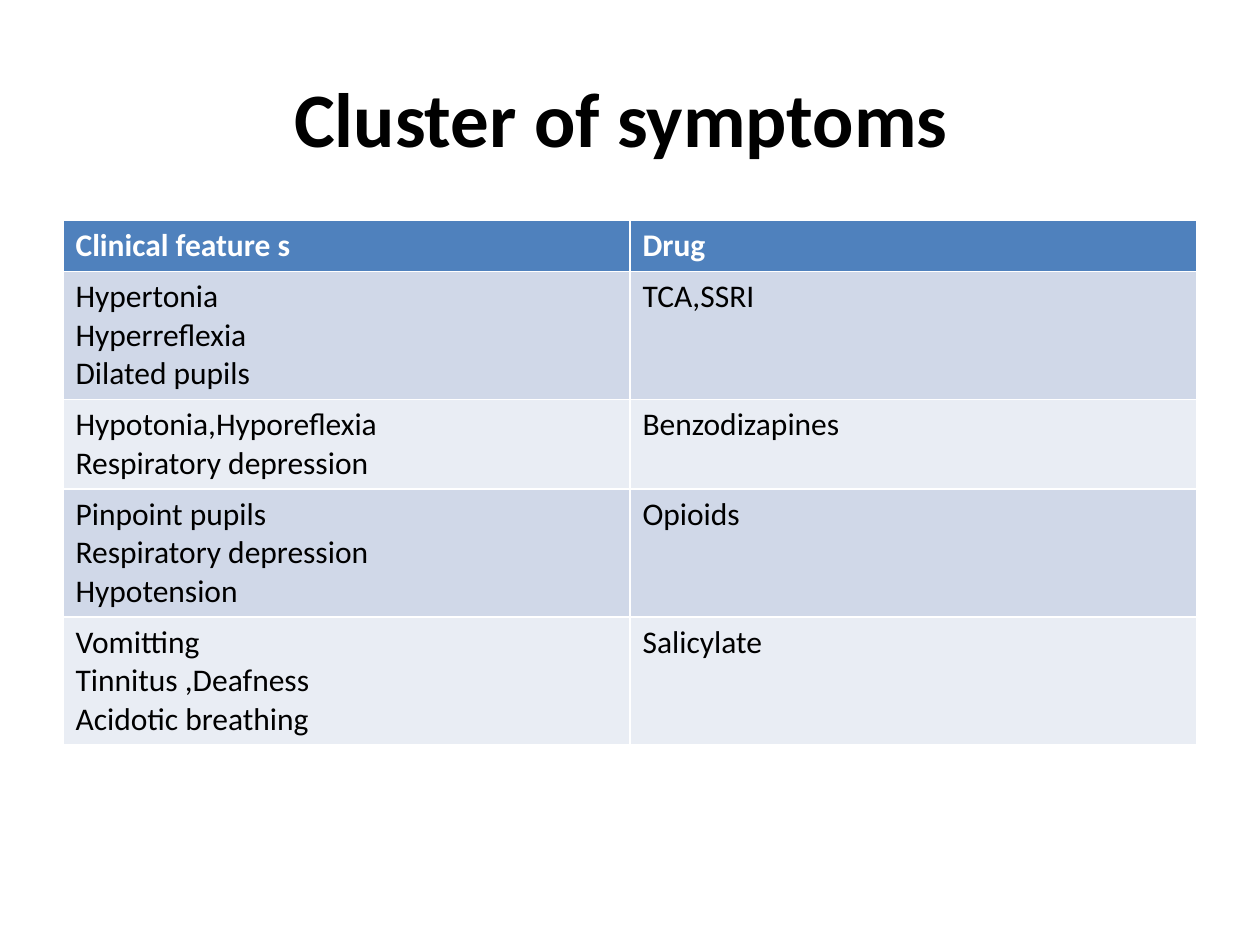
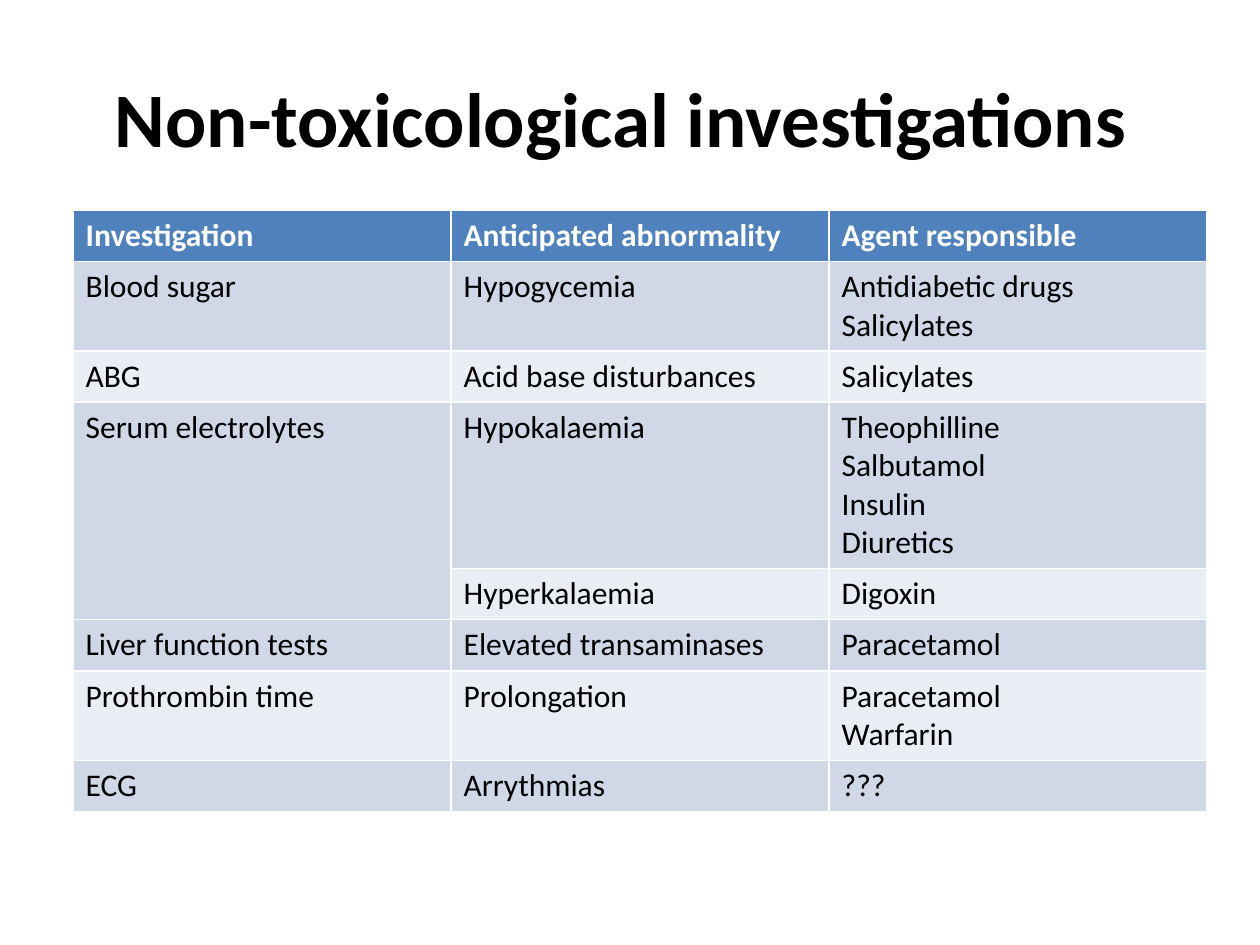
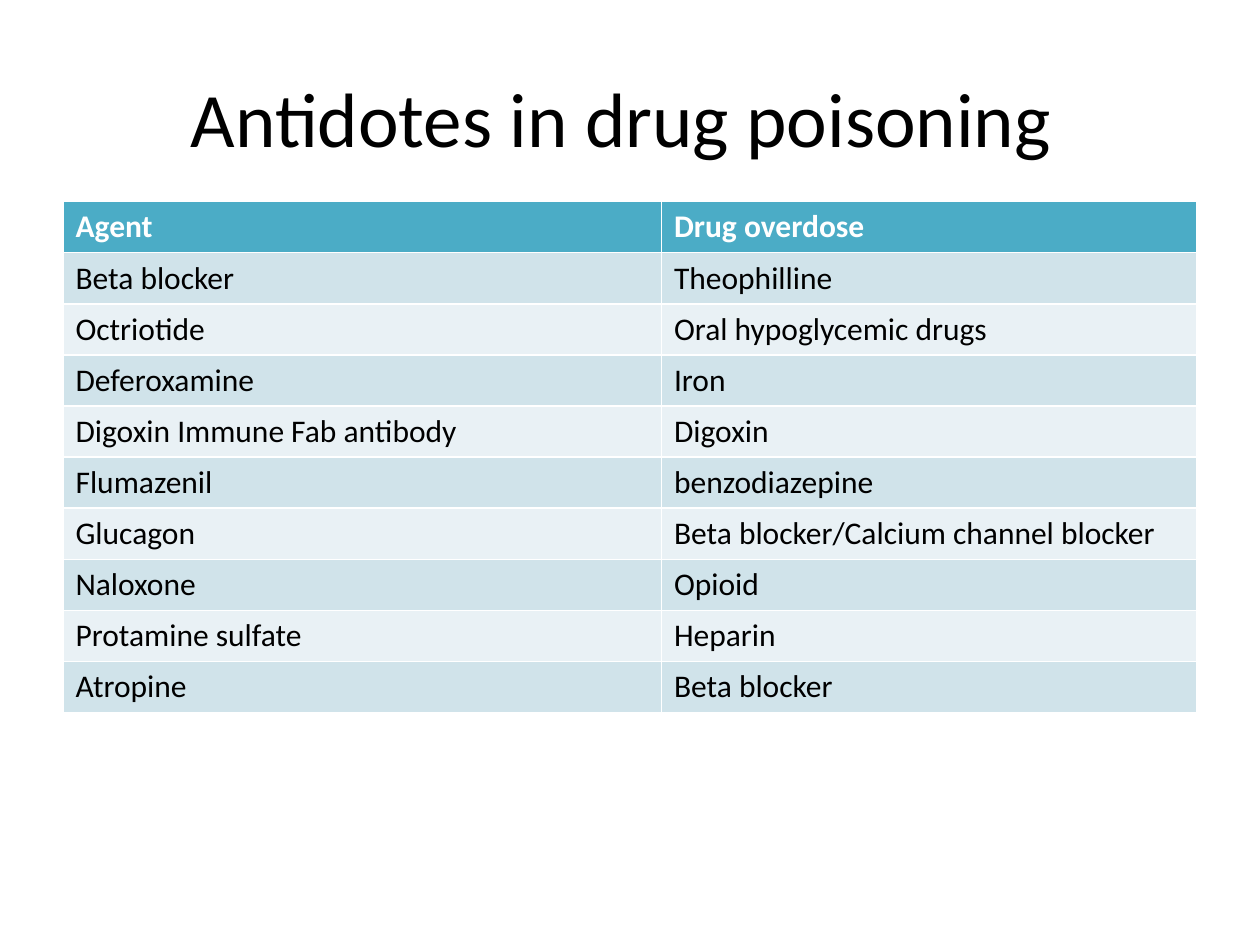
import pptx
import pptx.util
import pptx.dml.color
import pptx.enum.text

Inch = pptx.util.Inches
RGB = pptx.dml.color.RGBColor

# Shared look
BLACK = RGB(0x00, 0x00, 0x00)
WHITE = RGB(0xFF, 0xFF, 0xFF)
BLUE = [RGB(0x4F, 0x81, 0xBD), RGB(0xD0, 0xD8, 0xE8), RGB(0xE9, 0xED, 0xF4)]
TEAL = [RGB(0x4B, 0xAC, 0xC6), RGB(0xD0, 0xE3, 0xEA), RGB(0xE9, 0xF1, 0xF5)]
TITLE = {"name": "Calibri", "size": pptx.util.Pt(44)}
CELL = {"name": "Calibri", "size": pptx.util.Pt(18)}
WIDE, HIGH = 10, 7.5
EDGE = WIDE / 20
SPAN = WIDE - 2 * EDGE
PAD, LINE = 0.1, 0.3

# Slide contents: None joins a cell to the one above it
SLIDES = [
    {"title": "Cluster of symptoms ", "bold": True, "tones": BLUE,
     "left": EDGE, "top": 1.75, "parts": [1, 1], "rows": [
         ["Clinical feature s", "Drug"],
         ["Hypertonia\nHyperreflexia\nDilated pupils", "TCA,SSRI"],
         ["Hypotonia,Hyporeflexia\nRespiratory depression", "Benzodizapines"],
         ["Pinpoint pupils\nRespiratory depression\nHypotension", "Opioids"],
         ["Vomitting\nTinnitus ,Deafness\nAcidotic breathing", "Salicylate"],
     ]},
    {"title": "Non-toxicological investigations ", "bold": True, "tones": BLUE,
     "left": 0.58, "top": 1.67, "parts": [1, 1, 1], "rows": [
         ["Investigation", "Anticipated abnormality", "Agent responsible"],
         ["Blood sugar", "Hypogycemia", "Antidiabetic drugs\nSalicylates"],
         ["ABG", "Acid base disturbances", "Salicylates"],
         ["Serum electrolytes", "Hypokalaemia",
          "Theophilline\nSalbutamol\nInsulin\nDiuretics"],
         [None, "Hyperkalaemia", "Digoxin"],
         ["Liver function tests", "Elevated transaminases", "Paracetamol"],
         ["Prothrombin time", "Prolongation", "Paracetamol\nWarfarin"],
         ["ECG", "Arrythmias", "???"],
     ]},
    {"title": "Antidotes in drug poisoning ", "bold": False, "tones": TEAL,
     "left": EDGE, "top": 1.6, "parts": [19, 17], "rows": [
         ["Agent", "Drug overdose"],
         ["Beta blocker", "Theophilline"],
         ["Octriotide", "Oral hypoglycemic drugs"],
         ["Deferoxamine", "Iron"],
         ["Digoxin Immune Fab antibody", "Digoxin"],
         ["Flumazenil", "benzodiazepine"],
         ["Glucagon", "Beta blocker/Calcium channel blocker"],
         ["Naloxone", "Opioid"],
         ["Protamine sulfate", "Heparin"],
         ["Atropine", "Beta blocker"],
     ]},
]


def style(frame, form, bold, tint):
    for para in frame.paragraphs:
        for key, val in form.items():
            setattr(para.font, key, val)
        para.font.bold = bold
        para.font.color.rgb = tint


deck = pptx.Presentation()
deck.slide_width, deck.slide_height = Inch(WIDE), Inch(HIGH)

for page in SLIDES:
    slide = deck.slides.add_slide(deck.slide_layouts[5])

    # Title
    head = slide.shapes.title
    head.left, head.top = Inch(EDGE), Inch(HIGH / 25)
    head.width, head.height = Inch(SPAN), Inch(HIGH / 6)
    head.text_frame.text = page["title"]
    head.text_frame.vertical_anchor = pptx.enum.text.MSO_ANCHOR.MIDDLE
    head.text_frame.paragraphs[0].alignment = pptx.enum.text.PP_ALIGN.CENTER
    style(head.text_frame, TITLE, page["bold"], BLACK)

    # Table grid: each row is as tall as its longest cell
    rows, parts = page["rows"], page["parts"]
    tall = [PAD + LINE * max(len(text.split("\n")) for text in row if text)
            for row in rows]
    grid = slide.shapes.add_table(
        len(rows), len(parts), Inch(page["left"]), Inch(page["top"]),
        Inch(SPAN), Inch(sum(tall))).table
    for col, part in zip(grid.columns, parts):
        col.width = Inch(SPAN * part / sum(parts))

    # Header row, then two bands in turn
    for r, row in enumerate(rows):
        grid.rows[r].height = Inch(tall[r])
        tone = page["tones"][0 if r == 0 else 2 - r % 2]
        for c, text in enumerate(row):
            cell = grid.cell(r, c)
            if text is None:
                grid.cell(r - 1, c).merge(cell)
                continue
            cell.text = text
            cell.fill.solid()
            cell.fill.fore_color.rgb = tone
            style(cell.text_frame, CELL, r == 0, BLACK if r else WHITE)

deck.save("out.pptx")
